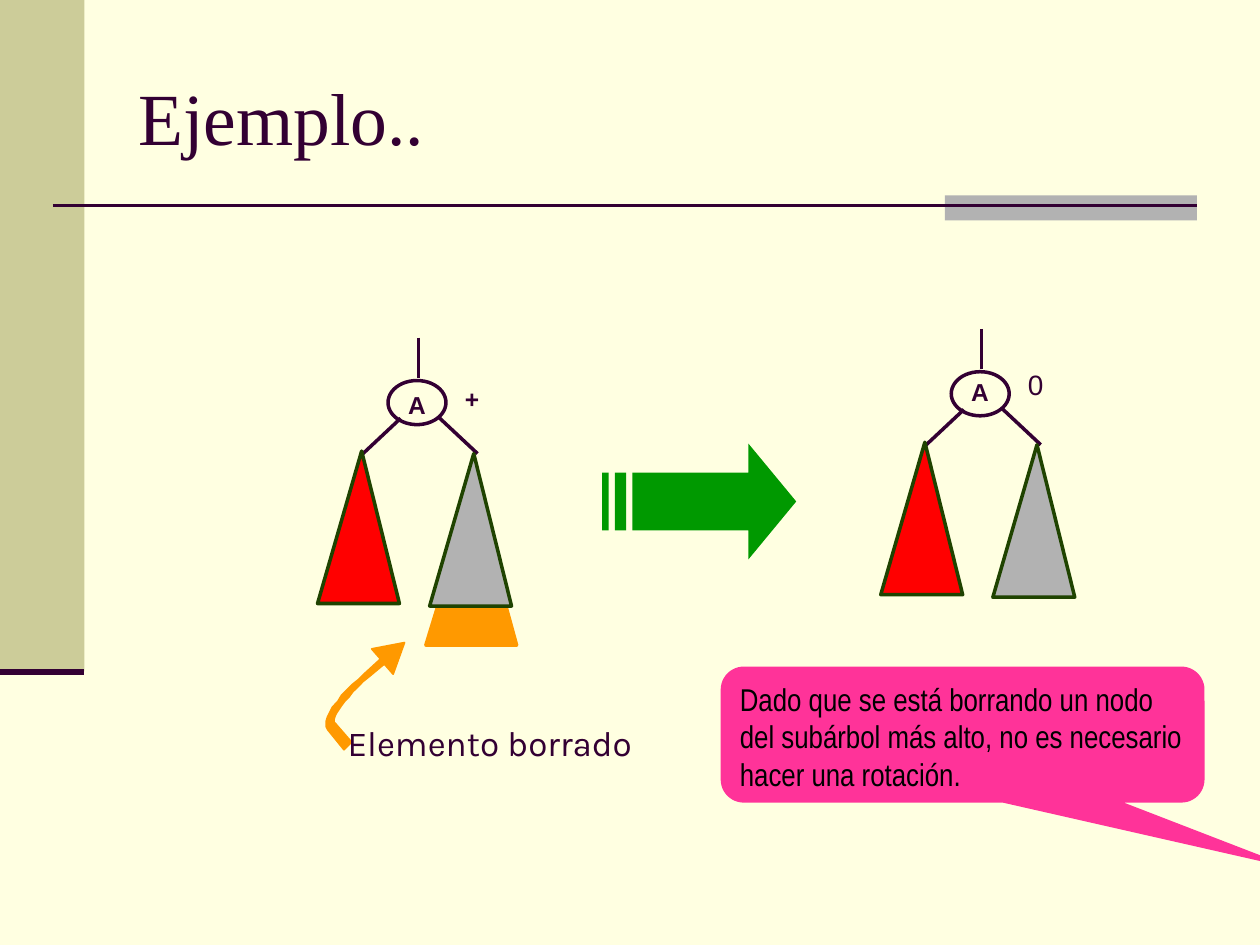
import pptx
import pptx.util
import pptx.dml.color
import pptx.enum.shapes
import pptx.enum.text
import pptx.oxml.ns
import lxml.etree

RGB = pptx.dml.color.RGBColor
CREAM = RGB(0xFF, 0xFF, 0xE1)
SAND = RGB(0xCC, 0xCC, 0x99)
GRAY = RGB(0xB2, 0xB2, 0xB2)
PLUM = RGB(0x33, 0x00, 0x33)
RED = RGB(0xFF, 0x00, 0x00)
MOSS = RGB(0x1F, 0x43, 0x00)
ORANGE = RGB(0xFF, 0x99, 0x00)
GREEN = RGB(0x00, 0x99, 0x00)
PINK = RGB(0xFF, 0x33, 0x99)
BLACK = RGB(0x00, 0x00, 0x00)

Kind = pptx.enum.shapes.MSO_SHAPE
Align = pptx.enum.text.PP_ALIGN
Anchor = pptx.enum.text.MSO_ANCHOR
UNIT = 9144  # EMU in one px, 100 px to the inch


def px(*vals):
    return [pptx.util.Emu(v * UNIT) for v in vals]


def paint(shape, fill=None, line=None, width=2):
    shape.shadow.inherit = False
    if fill is None:
        shape.fill.background()
    else:
        shape.fill.solid()
        shape.fill.fore_color.rgb = fill
    if line is None:
        shape.line.fill.background()
    else:
        shape.line.color.rgb = line
        shape.line.width = pptx.util.Pt(width)


def block(slide, kind, box, fill=None, line=None):
    shape = slide.shapes.add_shape(kind, *px(*box))
    paint(shape, fill, line)
    return shape


def rule(slide, x1, y1, x2, y2, width=2):
    line = slide.shapes.add_connector(
        pptx.enum.shapes.MSO_CONNECTOR.STRAIGHT, *px(x1, y1, x2, y2))
    line.line.color.rgb = PLUM
    line.line.width = pptx.util.Pt(width)
    props = line._element.spPr
    lxml.etree.SubElement(props, pptx.oxml.ns.qn("a:effectLst"))


def outline(slide, x, y, loops, fill, line=None, width=2):
    """Draw closed loops whose points are relative to x, y."""
    loops = [[(x + a, y + b) for a, b in loop] for loop in loops]
    pen = slide.shapes.build_freeform(*loops[0][0], scale=UNIT)
    pen.add_line_segments(loops[0][1:])
    for loop in loops[1:]:
        pen.move_to(*loop[0])
        pen.add_line_segments(loop[1:])
    paint(pen.convert_to_shape(), fill, line, width)


def write(frame, text, size, font, color, bold=False):
    para = frame.paragraphs[0]
    para.alignment = Align.LEFT
    run = para.add_run()
    run.text = text
    run.font.size = pptx.util.Pt(size)
    run.font.name = font
    run.font.bold = bold
    run.font.color.rgb = color


def label(slide, box, text, size, font="Arial", bold=False):
    frame = slide.shapes.add_textbox(*px(*box)).text_frame
    frame.word_wrap = False
    write(frame, text, size, font, PLUM, bold)


def bezier(p0, p1, p2, p3, steps=12):
    for i in range(1, steps + 1):
        t = i / steps
        s = 1 - t
        yield tuple(round(s**3 * a + 3 * s * s * t * b + 3 * s * t * t * c
                          + t**3 * d, 2) for a, b, c, d in zip(p0, p1, p2, p3))


def frame_page(slide):
    # Side band and rules
    block(slide, Kind.RECTANGLE, (0, 0, 67, 533), SAND)
    block(slide, Kind.RECTANGLE, (750, 155, 200, 20), GRAY)
    rule(slide, 42, 163, 950, 163, 1.5)
    rule(slide, 0, 533, 67, 533, 3.5)


def head(slide, x, y, w, h):
    title = slide.shapes.title
    title.left, title.top, title.width, title.height = px(x, y, w, h)
    title.text_frame.vertical_anchor = Anchor.MIDDLE
    write(title.text_frame, "Ejemplo..", 42, "Times New Roman", PLUM)


def tree(slide, x, y, drop, sign, size, bold, lift, extra=False):
    # Part that is being deleted, behind the right subtree
    if extra:
        outline(slide, x + 86, y + 120, [[(38, 0), (0, 124), (72, 124)]],
                ORANGE, ORANGE)
    # Root and its links
    block(slide, Kind.OVAL, (x + 56, y + 34, 46, 35), line=PLUM)
    for ends in ((66, 64, 34, 94), (96, 63, 127, 92), (80, 0, 80, 32)):
        rule(slide, x + ends[0], y + ends[1], x + ends[2], y + ends[3])
    label(slide, (x + 62, y + drop, 34, 33), "A", 14, bold=True)
    label(slide, (x + 107, y + lift, 32, 35), sign, size, bold=bold)
    # Subtrees
    for dx, dy, fill in ((0, 90, RED), (89, 92, GRAY)):
        outline(slide, x + dx, y + dy, [[(35, 0), (0, 121), (65, 121)]],
                fill, MOSS)


def swoop(slide, x, y):
    # Curved arrow from the note to the deleted part
    outer = bezier((13, 69), (7, 63), (21, 42), (43, 24))
    inner = bezier((46, 27), (27, 43), (15, 59), (19, 64))
    loop = [(26, 85), (13, 69), *outer, (55, 13), (48, 5), (74, 0), (65, 25),
            (58, 17), (46, 27), *inner, (32, 79)]
    outline(slide, x, y, [loop], ORANGE, ORANGE, 1)


def arrow(slide, x, y):
    # Striped arrow: head and shaft, then two stripes
    loops = [[(24, 23), (116, 23), (116, 0), (154, 46), (116, 92),
              (116, 69), (24, 69)]]
    for a, b in ((0, 5), (10, 19)):
        loops.append([(a, 23), (b, 23), (b, 69), (a, 69)])
    outline(slide, x, y, loops, GREEN)


def callout(slide, *box):
    shape = block(slide, Kind.ROUNDED_RECTANGULAR_CALLOUT, box, PINK)
    for i, val in enumerate((0.69, 0.99, 0.17)):
        shape.adjustments[i] = val
    frame = shape.text_frame
    frame.word_wrap = True
    frame.vertical_anchor = Anchor.TOP
    write(frame, "Dado que se está borrando un nodo del subárbol más alto, "
          "no es necesario hacer una rotación.", 18, "Arial Narrow", BLACK)


def main():
    deck = pptx.Presentation()
    deck.slide_width, deck.slide_height = px(1000, 750)
    slide = deck.slides.add_slide(deck.slide_layouts[5])
    slide.background.fill.solid()
    slide.background.fill.fore_color.rgb = CREAM

    frame_page(slide)
    head(slide, 100, 30, 850, 125)
    tree(slide, 252, 268, 37, "+", 14, True, 32, extra=True)
    tree(slide, 699, 261, 33, "0", 16, False, 26)
    swoop(slide, 247, 510)
    label(slide, (266, 568, 258, 43), "Elemento borrado", 20, "Karla")
    callout(slide, 572, 529, 384, 108)
    arrow(slide, 478, 352)
    deck.save("out.pptx")


if __name__ == "__main__":
    main()
